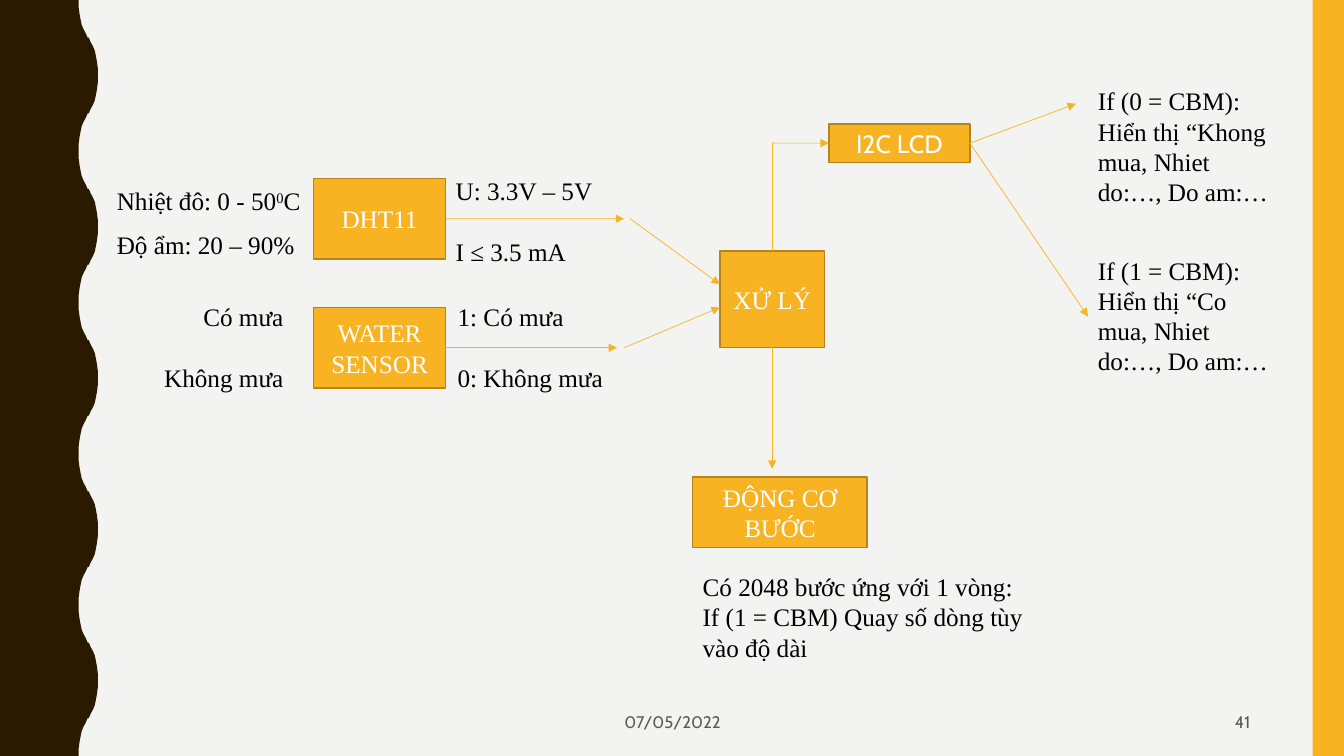
from dataclasses import dataclass
from typing import Optional

from lxml import etree
from pptx import Presentation
from pptx.dml.color import RGBColor
from pptx.enum.shapes import MSO_CONNECTOR, MSO_SHAPE
from pptx.enum.text import MSO_ANCHOR, MSO_AUTO_SIZE, PP_ALIGN
from pptx.oxml.ns import qn
from pptx.util import Inches, Pt

LEFT, CENTER, RIGHT = PP_ALIGN.LEFT, PP_ALIGN.CENTER, PP_ALIGN.RIGHT
TOP, MIDDLE = MSO_ANCHOR.TOP, MSO_ANCHOR.MIDDLE
GROW, FIXED = MSO_AUTO_SIZE.SHAPE_TO_FIT_TEXT, MSO_AUTO_SIZE.NONE
STRAIGHT, RECTANGLE = MSO_CONNECTOR.STRAIGHT, MSO_SHAPE.RECTANGLE
SITE_TOP, SITE_LEFT, SITE_BOTTOM, SITE_RIGHT = range(4)

COLORS = {"paper": "F3F3F2", "bark": "2A1A00", "amber": "F8B323", "edge": "B7841A",
          "white": "FFFFFF", "ink": "000000", "muted": "595959"}
SERIF, SANS = "Times New Roman", "Cabin"
WIDTH, HEIGHT = Inches(13.33), Inches(7.5)
BLANK_LINE = 21.7
WAVES = 5
WAVE_INNER, WAVE_OUTER = 5.85, 7.28
WAVE_QUARTER = [(0, 0), (0, 0.09), (0.05, 0.19), (0.11, 0.27),
                (0.16, 0.33), (0.26, 0.39), (0.37, 0.44), (0.47, 0.5)]


@dataclass(frozen=True)
class Area:
    """A rectangle in percent of the slide's width and height."""
    left: float
    top: float
    width: float
    height: float

    def emu(self) -> tuple[int, int, int, int]:
        """Return the rectangle in slide units."""
        return across(self.left), down(self.top), across(self.width), down(self.height)


@dataclass(frozen=True)
class Block:
    """A labelled unit of the diagram."""
    key: str
    label: str
    area: Area
    font: str = SERIF


@dataclass(frozen=True)
class Note:
    """Free text; each paragraph is a list of runs, and ^ marks a superscript run."""
    area: Area
    paragraphs: list[list[str]]
    align: PP_ALIGN = LEFT
    gap_before: float = 0
    gap_after: float = 0
    spacing: Optional[float] = None
    font: str = SERIF
    size: int = 18
    color: str = "ink"
    anchor: MSO_ANCHOR = TOP
    autosize: MSO_AUTO_SIZE = GROW


@dataclass(frozen=True)
class Flow:
    """A signal line between two points, optionally joined to blocks."""
    start: tuple[float, float]
    end: tuple[float, float]
    source: Optional[tuple[str, int]] = None
    target: Optional[tuple[str, int]] = None
    arrow: bool = True


BLOCKS = [
    Block("dht", "DHT11", Area(23.33, 23.6, 9.83, 10.67)),
    Block("water", "WATER SENSOR", Area(23.33, 40.67, 9.83, 10.67)),
    Block("process", "XỬ LÝ", Area(53.56, 33.2, 7.8, 12.75)),
    Block("lcd", "I2C LCD", Area(61.67, 16.4, 10.5, 5.07), SANS),
    Block("motor", "ĐỘNG CƠ BƯỚC", Area(51.54, 63.07, 12.98, 9.33)),
]

FLOWS = [
    Flow((33.16, 28.93), (46.44, 28.93), source=("dht", SITE_RIGHT)),
    Flow((32.56, 46), (45.91, 46)),
    Flow((46.89, 28.93), (53.56, 37.6)),
    Flow((46.44, 46), (53.56, 40.67)),
    Flow((72.17, 18.93), (80.05, 13.73), source=("lcd", SITE_RIGHT)),
    Flow((72.17, 18.93), (80.95, 41.87), source=("lcd", SITE_RIGHT)),
    Flow((57.46, 33.2), (57.46, 18.93), source=("process", SITE_TOP), arrow=False),
    Flow((57.46, 18.93), (61.67, 18.93), target=("lcd", SITE_LEFT)),
    Flow((57.46, 45.95), (57.46, 62), source=("process", SITE_BOTTOM)),
]

NOTES = [
    Note(Area(33.16, 22.53, 12.45, 13.47), [["U: 3.3V – 5V"], ["I ≤ 3.5 mA"]],
         gap_before=BLANK_LINE),
    Note(Area(33.31, 39.2, 12.45, 13.47), [["1: Có mưa"], ["0: Không mưa"]],
         gap_before=BLANK_LINE),
    Note(Area(7.95, 23.6, 15.38, 11.2),
         [["Nhiệt đô: 0 - 50", "^0", "C"], ["Độ ẩm: 20 – 90%"]],
         gap_after=8, spacing=1.07),
    Note(Area(9.38, 39.2, 12.45, 13.47), [["Có mưa"], ["Không mưa"]], RIGHT,
         gap_before=BLANK_LINE),
    Note(Area(80.95, 10.67, 14.93, 17.47),
         [["If (0 = CBM): Hiển thị “Khong mua, Nhiet do:…, Do am:…"]]),
    Note(Area(80.95, 33.07, 14.93, 17.47),
         [["If (1 = CBM): Hiển thị “Co mua, Nhiet do:…, Do am:…"]]),
    Note(Area(51.54, 74.93, 27.68, 13.47),
         [["Có 2048 bước ứng với 1 vòng:"], ["If (1 = CBM) Quay số dòng tùy vào độ dài"]]),
    Note(Area(33.16, 92.93, 33.76, 5.07), [["07/05/2022"]], CENTER, font=SANS,
         size=12, color="muted", anchor=MIDDLE, autosize=FIXED),
    Note(Area(70.67, 92.93, 23.1, 5.07), [["41"]], RIGHT, font=SANS,
         size=12, color="muted", anchor=MIDDLE, autosize=FIXED),
]


def across(percent: float) -> int:
    """Convert a share of the slide's width."""
    return round(WIDTH * percent / 100)


def down(percent: float) -> int:
    """Convert a share of the slide's height."""
    return round(HEIGHT * percent / 100)


def rgb(name: str) -> RGBColor:
    """Look up a palette colour."""
    return RGBColor.from_string(COLORS[name])


def paint(shape, fill: str, edge: Optional[str] = None) -> None:
    """Fill and outline a shape without a shadow."""
    shape.shadow.inherit = False
    shape.fill.solid()
    shape.fill.fore_color.rgb = rgb(fill)
    if edge:
        shape.line.color.rgb = rgb(edge)
        shape.line.width = Pt(1)
    else:
        shape.line.fill.background()


def add_run(paragraph, text: str, font: str, size: int, color: str) -> None:
    """Append one styled run."""
    run = paragraph.add_run()
    run.text = text.lstrip("^")
    run.font.name, run.font.size = font, Pt(size)
    run.font.color.rgb = rgb(color)
    if text.startswith("^"):
        run.font._element.set("baseline", "30000")


def draw_wave(slide) -> None:
    """Draw the dark left band with its wavy edge."""
    rising = WAVE_QUARTER + [(1 - d, 1 - y) for d, y in reversed(WAVE_QUARTER)]
    cycle = rising + [(d, 2 - y) for d, y in reversed(rising)]
    half = 100 / WAVES / 2
    edge = [(across(WAVE_INNER + d * (WAVE_OUTER - WAVE_INNER)), down((2 * wave + y) * half))
            for wave in range(WAVES) for d, y in cycle]
    outline = slide.shapes.build_freeform(0, 0)
    outline.add_line_segments(edge + [(0, HEIGHT)], close=True)
    paint(outline.convert_to_shape(), "bark")


def draw_block(slide, block: Block):
    """Draw one diagram unit."""
    shape = slide.shapes.add_shape(RECTANGLE, *block.area.emu())
    paint(shape, "amber", "edge")
    frame = shape.text_frame
    frame.word_wrap, frame.vertical_anchor = True, MIDDLE
    frame.paragraphs[0].alignment = CENTER
    add_run(frame.paragraphs[0], block.label, block.font, 18, "white")
    return shape


def draw_note(slide, note: Note) -> None:
    """Draw one piece of free text."""
    frame = slide.shapes.add_textbox(*note.area.emu()).text_frame
    frame.word_wrap, frame.auto_size, frame.vertical_anchor = True, note.autosize, note.anchor
    for index, runs in enumerate(note.paragraphs):
        paragraph = frame.add_paragraph() if index else frame.paragraphs[0]
        paragraph.alignment = note.align
        paragraph.line_spacing = note.spacing
        paragraph.space_before = Pt(note.gap_before if index else 0)
        paragraph.space_after = Pt(note.gap_after)
        for text in runs:
            add_run(paragraph, text, note.font, note.size, note.color)


def draw_flow(slide, flow: Flow, units: dict) -> None:
    """Draw one signal line."""
    (x1, y1), (x2, y2) = flow.start, flow.end
    link = slide.shapes.add_connector(STRAIGHT, across(x1), down(y1), across(x2), down(y2))
    if flow.source:
        link.begin_connect(units[flow.source[0]], flow.source[1])
    if flow.target:
        link.end_connect(units[flow.target[0]], flow.target[1])
    link.line.color.rgb, link.line.width = rgb("amber"), Pt(0.5)
    if flow.arrow:
        etree.SubElement(link.line._get_or_add_ln(), qn("a:tailEnd"), type="triangle")
    etree.SubElement(link._element.spPr, qn("a:effectLst"))


def main() -> None:
    """Build the slide and save it."""
    deck = Presentation()
    deck.slide_width, deck.slide_height = WIDTH, HEIGHT
    slide = deck.slides.add_slide(deck.slide_layouts[6])
    slide.background.fill.solid()
    slide.background.fill.fore_color.rgb = rgb("paper")
    draw_wave(slide)
    paint(slide.shapes.add_shape(RECTANGLE, *Area(97.67, 0, 2.33, 100).emu()), "amber")
    units = {block.key: draw_block(slide, block) for block in BLOCKS}
    for flow in FLOWS:
        draw_flow(slide, flow, units)
    for note in NOTES:
        draw_note(slide, note)
    deck.save("out.pptx")


if __name__ == "__main__":
    main()
